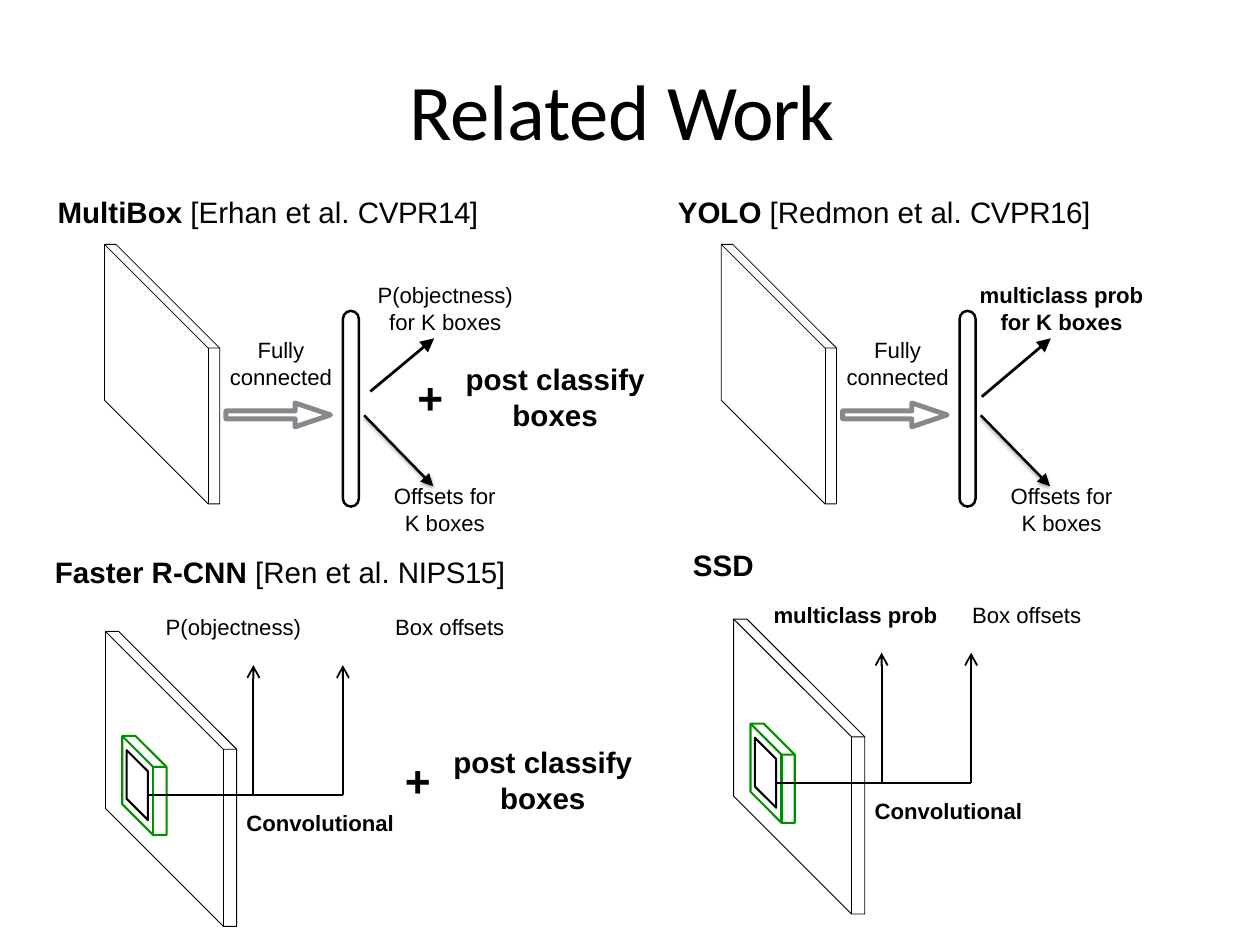
from dataclasses import dataclass

from pptx import Presentation
from pptx.dml.color import RGBColor
from pptx.enum.shapes import MSO_CONNECTOR as Connector, MSO_SHAPE as Shape
from pptx.enum.text import MSO_ANCHOR as Anchor, PP_ALIGN as Align
from pptx.oxml import parse_xml
from pptx.oxml.ns import nsdecls
from pptx.util import Inches, Pt


@dataclass(frozen=True)
class Theme:
    ink: RGBColor = RGBColor(0, 0, 0)
    kernel: RGBColor = RGBColor(0x00, 0x8F, 0x00)
    block_arrow: RGBColor = RGBColor(0x85, 0x88, 0x8D)
    title_font: str = "Calibri"
    body_font: str = "Arial"
    title: int = 64
    plus: int = 36
    heading: int = 24
    label: int = 18


THEME = Theme()


def add_text(page, left, top, width, height, spans, size,
             font=THEME.body_font, align=Align.LEFT, line_spacing=None):
    """Add a text box; each span is (text, bold, letter spacing in points)."""
    box = page.shapes.add_textbox(Inches(left), Inches(top), Inches(width), Inches(height))
    frame = box.text_frame
    frame.word_wrap = True
    frame.vertical_anchor = Anchor.TOP
    frame.margin_left = frame.margin_right = frame.margin_top = frame.margin_bottom = 0
    para = frame.paragraphs[0]
    para.alignment = align
    if line_spacing:
        para.line_spacing = line_spacing
    for text, bold, spacing in spans:
        span = para.add_run()
        span.text = text
        span.font.name = font
        span.font.size = Pt(size)
        span.font.bold = bold
        span.font.color.rgb = THEME.ink
        if spacing:
            span.font._element.set("spc", str(round(spacing * 100)))


def add_heading(page, left, top, name, authors="", venue=""):
    spans = [(name, True, 0)]
    if authors:
        spans += [(f" [{authors} et al. ", False, 0), (f"{venue}]", False, -0.4)]
    add_text(page, left, top, 5.12, 0.42, spans, THEME.heading)


def add_label(page, left, top, text, bold=False):
    add_text(page, left, top, 1.88, 0.32, [(text, bold, 0)], THEME.label)


def add_wrapped(page, left, top, width, text, bold=False, size=THEME.label):
    """Add a centred caption that wraps onto two lines."""
    add_text(page, left, top, width, size * 0.035, [(text, bold, 0)], size,
             align=Align.CENTER, line_spacing=1.02)


def add_post_classify(page, left, top):
    add_text(page, left, top + 0.11, 0.32, 0.63, [("+", True, 0)], THEME.plus)
    add_wrapped(page, left + 0.53, top, 2.05, "post classify boxes", True, THEME.heading)


def style_outline(shape, color, weight):
    shape.shadow.inherit = False
    shape.fill.background()
    shape.line.color.rgb = color
    shape.line.width = Pt(weight)


def add_outline(page, points, color, weight, close=True):
    corners = [(Inches(x), Inches(y)) for x, y in points]
    builder = page.shapes.build_freeform(*corners[0])
    builder.add_line_segments(corners[1:], close=close)
    style_outline(builder.convert_to_shape(), color, weight)


def add_line(page, start, end, weight, head=None, shadow=False, color=THEME.ink):
    line = page.shapes.add_connector(
        Connector.STRAIGHT, *(Inches(value) for value in (*start, *end)))
    line.line.color.rgb = color
    line.line.width = Pt(weight)
    if head:
        line.line._get_or_add_ln().append(parse_xml(
            f'<a:tailEnd {nsdecls("a")} type="{head}" w="lg" len="lg"/>'))
    effect = ('<a:outerShdw blurRad="39400" dist="20300" dir="5400000">'
              '<a:srgbClr val="000000"><a:alpha val="38000"/></a:srgbClr>'
              '</a:outerShdw>') if shadow else ""
    line._element.spPr.append(parse_xml(
        f'<a:effectLst {nsdecls("a")}>{effect}</a:effectLst>'))


def add_slab(page, left, top, slant, face, depth, weight, color=THEME.ink):
    """Draw a sheared plate; face is its front height, slant its drop to the right."""
    front, right = left + slant, left + slant + depth
    low = top + slant
    add_outline(page, [(right, low), (left + depth, top), (left, top), (left, top + face),
                       (front, low + face), (right, low + face)], color, weight)
    add_outline(page, [(right, low), (front, low), (left, top)], color, weight, close=False)
    add_line(page, (front, low), (front, low + face), weight, color=color)


def add_fully_connected(page, dx, arrow_start, score, score_left, score_width, bold=False):
    """Draw a feature map, a dense layer and its two outputs."""
    add_slab(page, 1.18 + dx, 2.76, 1.17, 1.76, 0.13, 0.65)
    layer = page.shapes.add_shape(Shape.ROUNDED_RECTANGLE, Inches(3.87 + dx), Inches(3.51),
                                  Inches(0.18), Inches(2.21))
    layer.adjustments[0] = 0.5
    style_outline(layer, THEME.ink, 2)
    arrow = page.shapes.add_shape(Shape.RIGHT_ARROW, Inches(2.55 + dx), Inches(4.55),
                                  Inches(1.18), Inches(0.27))
    arrow.adjustments[0], arrow.adjustments[1] = 0.33, 1.48
    style_outline(arrow, THEME.block_arrow, 4)
    add_wrapped(page, 2.56 + dx, 3.79, 1.22, "Fully connected")
    add_wrapped(page, score_left, 3.17, score_width, score, bold)
    add_wrapped(page, 4.43 + dx, 5.44, 1.18, "Offsets for K boxes")
    add_line(page, arrow_start, (4.9 + dx, 3.82), 2.25, "triangle")
    add_line(page, (4.11 + dx, 4.69), (4.89 + dx, 5.49), 2, "triangle", shadow=True)


def add_convolutional(page, dx, dy, score, score_left, offsets_left, bold=False):
    """Draw a feature map with a sliding kernel and its two outputs."""
    add_slab(page, 1.19 + dx, 7.13 + dy, 1.33, 2, 0.15, 0.75)
    add_slab(page, 1.38 + dx, 8.31 + dy, 0.35, 0.77, 0.15, 1.66, THEME.kernel)
    x, y = 1.43 + dx, 8.47 + dy
    add_outline(page, [(x, y), (x + 0.24, y + 0.24), (x + 0.24, y + 0.79), (x, y + 0.55)],
                THEME.ink, 1.66)
    base = 8.98 + dy
    add_line(page, (1.67 + dx, base), (3.87 + dx, base), 1.48)
    for stem in (2.86 + dx, 3.87 + dx):
        add_line(page, (stem, base), (stem, 7.51 + dy), 1.48, "arrow")
    add_label(page, 2.78 + dx, 9.14 + dy, "Convolutional", True)
    add_label(page, score_left, 6.93 + dy, score, bold)
    add_label(page, offsets_left, 6.93 + dy, "Box offsets")


def main():
    deck = Presentation()
    deck.slide_width, deck.slide_height = Inches(14.22), Inches(10.67)
    page = deck.slides.add_slide(deck.slide_layouts[6])

    add_text(page, 4.62, 0.7, 6, 1.1, [("Related ", False, -0.1), ("Work", False, -1.4)],
             THEME.title, THEME.title_font)

    add_heading(page, 0.65, 2.19, "MultiBox", "Erhan", "CVPR14")
    add_fully_connected(page, 0, (4.18, 4.42), "P(objectness) for K boxes", 4.24, 1.57)
    add_post_classify(page, 4.71, 4.07)

    add_heading(page, 7.65, 2.19, "YOLO", "Redmon", "CVPR16")
    add_fully_connected(page, 6.96, (11.08, 4.48), "multiclass prob for K boxes",
                        11.04, 1.88, bold=True)

    add_heading(page, 0.62, 6.25, "Faster R-CNN", "Ren", "NIPS15")
    add_convolutional(page, 0, 0, "P(objectness)", 1.87, 4.46)
    add_post_classify(page, 4.57, 8.39)

    add_heading(page, 7.82, 6.18, "SSD")
    add_convolutional(page, 7.09, -0.14, "multiclass prob", 8.73, 10.97, bold=True)

    deck.save("out.pptx")


if __name__ == "__main__":
    main()
